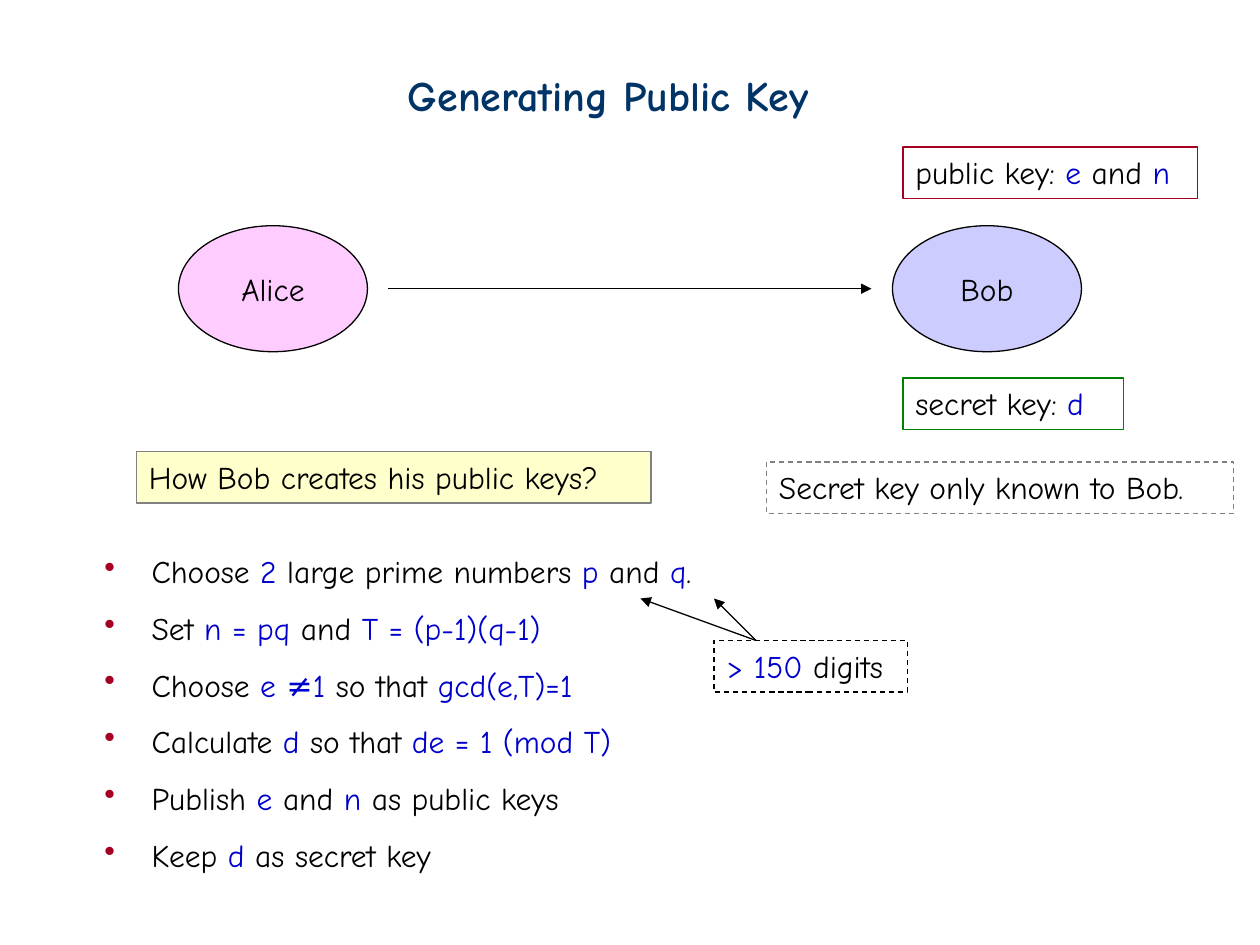
from dataclasses import dataclass
from typing import Optional

import pptx
import pptx.dml.color
import pptx.enum.dml
import pptx.enum.shapes
import pptx.enum.text
import pptx.oxml.ns
import pptx.util
from lxml import etree

Pt = pptx.util.Pt
FONT = "Comic Neue"
COLORS = {
    "black": "000000", "navy": "003366", "blue": "0000CC", "red": "A50021",
    "green": "008000", "gray": "808080", "pink": "FFCCFF",
    "lavender": "CCCCFF", "yellow": "FFFFCC",
}


@dataclass
class Party:
    name: str
    left: float
    fill: str


@dataclass
class LabelBox:
    text: str
    left: float
    top: float
    width: float
    line: str
    fill: Optional[str] = None
    dashed: bool = False


@dataclass
class Arrow:
    start: tuple[float, float]
    end: tuple[float, float]


# Text between bars is highlighted in blue
PARTIES = [Party("Alice", 102, "pink"), Party("Bob", 510, "lavender")]
LABELS = [
    LabelBox("How Bob creates his public keys?", 78, 258, 294, "gray", fill="yellow"),
    LabelBox("|> 150| digits", 408, 366, 110.5, "black", dashed=True),
    LabelBox("Secret key only known to Bob.", 438, 264, 267, "gray", dashed=True),
    LabelBox("public key: |e| and |n|", 516, 84, 168.5, "red"),
    LabelBox("secret key: |d|", 516, 216, 126, "green"),
]
ARROWS = [
    Arrow((222, 165), (498, 165)),
    Arrow((432, 366), (366, 342)),
    Arrow((432, 366), (408, 342)),
]
STEPS = [
    "Choose |2| large prime numbers |p| and |q|.",
    "Set |n = pq| and |T = (p-1)(q-1)|",
    "Choose |e ≠1| so that |gcd(e,T)=1|",
    "Calculate |d| so that |de = 1 (mod T)|",
    "Publish |e| and |n| as public keys",
    "Keep |d| as secret key",
]


def rgb(name: str) -> pptx.dml.color.RGBColor:
    return pptx.dml.color.RGBColor.from_string(COLORS[name])


def write_text(paragraph, text: str, *, size: float = 18, color: str = "black",
               bold: bool = False, align=pptx.enum.text.PP_ALIGN.LEFT) -> None:
    paragraph.alignment = align
    for index, part in enumerate(text.split("|")):
        if part:
            run = paragraph.add_run()
            run.text = part
            run.font.name = FONT
            run.font.size = Pt(size)
            run.font.bold = bold
            run.font.color.rgb = rgb("blue" if index % 2 else color)


def add_bullet(paragraph, color: str, indent: float) -> None:
    properties = paragraph._p.get_or_add_pPr()
    properties.set("marL", str(Pt(indent)))
    properties.set("indent", str(-Pt(indent)))
    qualified = pptx.oxml.ns.qn
    bullet_color = etree.SubElement(properties, qualified("a:buClr"))
    etree.SubElement(bullet_color, qualified("a:srgbClr"), val=COLORS[color])
    etree.SubElement(properties, qualified("a:buChar"), char="•")


def add_text_box(slide, left: float, top: float, width: float, height: float):
    box = slide.shapes.add_textbox(Pt(left), Pt(top), Pt(width), Pt(height))
    box.text_frame.word_wrap = True
    return box.text_frame


def add_outlined(slide, kind, left: float, top: float, width: float, height: float,
                 line: str, fill: Optional[str]):
    shape = slide.shapes.add_shape(kind, Pt(left), Pt(top), Pt(width), Pt(height))
    shape.shadow.inherit = False
    if fill:
        shape.fill.solid()
        shape.fill.fore_color.rgb = rgb(fill)
    else:
        shape.fill.background()
    shape.line.color.rgb = rgb(line)
    shape.line.width = Pt(0.75)
    shape.text_frame.word_wrap = True
    return shape


def add_party(slide, party: Party) -> None:
    shape = add_outlined(slide, pptx.enum.shapes.MSO_SHAPE.OVAL, party.left, 129,
                         108, 72, "black", party.fill)
    shape.text_frame.vertical_anchor = pptx.enum.text.MSO_ANCHOR.MIDDLE
    write_text(shape.text_frame.paragraphs[0], party.name,
               align=pptx.enum.text.PP_ALIGN.CENTER)


def add_label(slide, label: LabelBox) -> None:
    shape = add_outlined(slide, pptx.enum.shapes.MSO_SHAPE.RECTANGLE, label.left,
                         label.top, label.width, 29.5, label.line, label.fill)
    if label.dashed:
        shape.line.dash_style = pptx.enum.dml.MSO_LINE.DASH
    shape.text_frame.vertical_anchor = pptx.enum.text.MSO_ANCHOR.TOP
    write_text(shape.text_frame.paragraphs[0], label.text)


def add_arrow(slide, arrow: Arrow) -> None:
    connector = slide.shapes.add_connector(
        pptx.enum.shapes.MSO_CONNECTOR.STRAIGHT,
        *(Pt(value) for value in arrow.start + arrow.end))
    connector.line.color.rgb = rgb("black")
    connector.line.width = Pt(0.75)
    qualified = pptx.oxml.ns.qn
    etree.SubElement(connector.line._get_or_add_ln(), qualified("a:tailEnd"),
                     type="triangle")
    etree.SubElement(connector._element.spPr, qualified("a:effectLst"))


def main() -> None:
    presentation = pptx.Presentation()
    presentation.slide_width, presentation.slide_height = Pt(720), Pt(540)
    slide = presentation.slides.add_slide(presentation.slide_layouts[6])

    # Title
    title = add_text_box(slide, 226, 36, 266, 36)
    write_text(title.paragraphs[0], "Generating Public Key", size=24,
               color="navy", bold=True)

    # Key generation steps
    steps = add_text_box(slide, 52.5, 312, 361.5, 191.5)
    for index, step in enumerate(STEPS):
        paragraph = steps.add_paragraph() if index else steps.paragraphs[0]
        add_bullet(paragraph, "red", 27)
        paragraph.line_spacing = 1.5 if index else 1.0
        write_text(paragraph, step)

    # Parties, labels and arrows
    for party in PARTIES:
        add_party(slide, party)
    for label in LABELS:
        add_label(slide, label)
    for arrow in ARROWS:
        add_arrow(slide, arrow)

    presentation.save("out.pptx")


if __name__ == "__main__":
    main()
